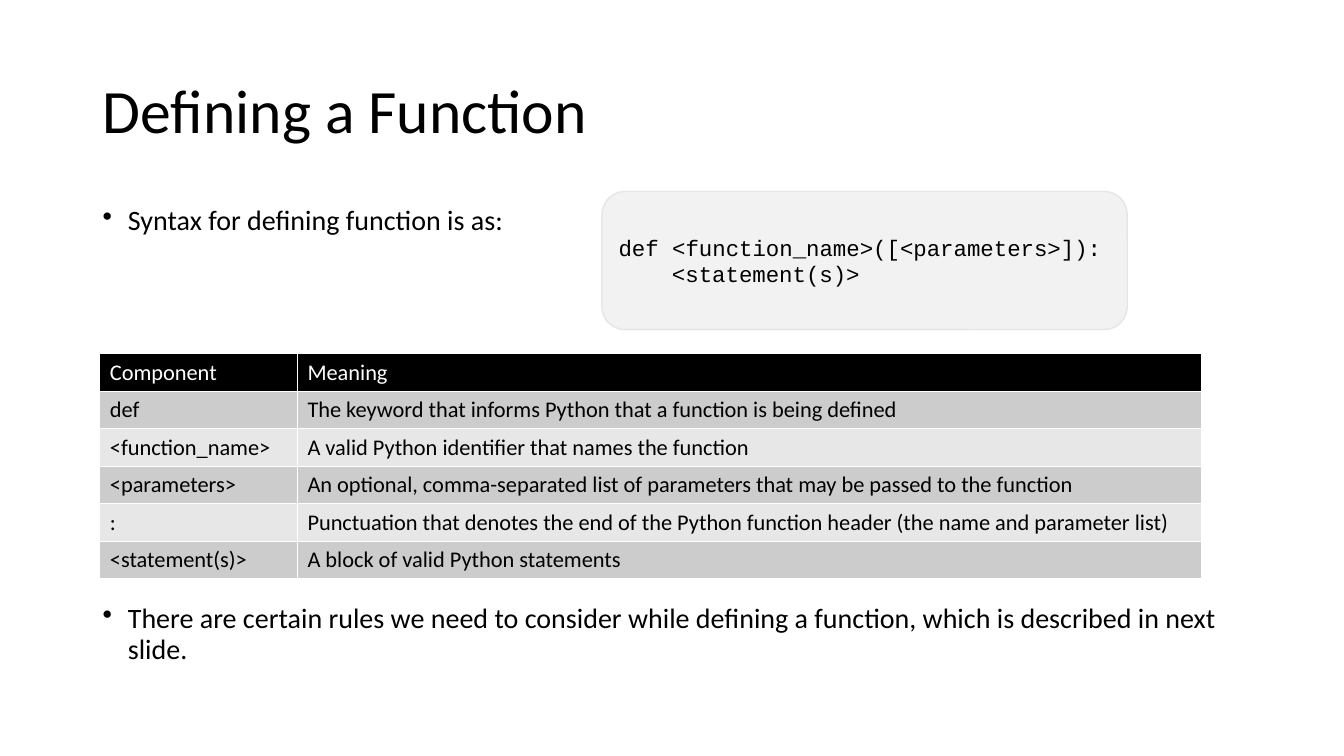
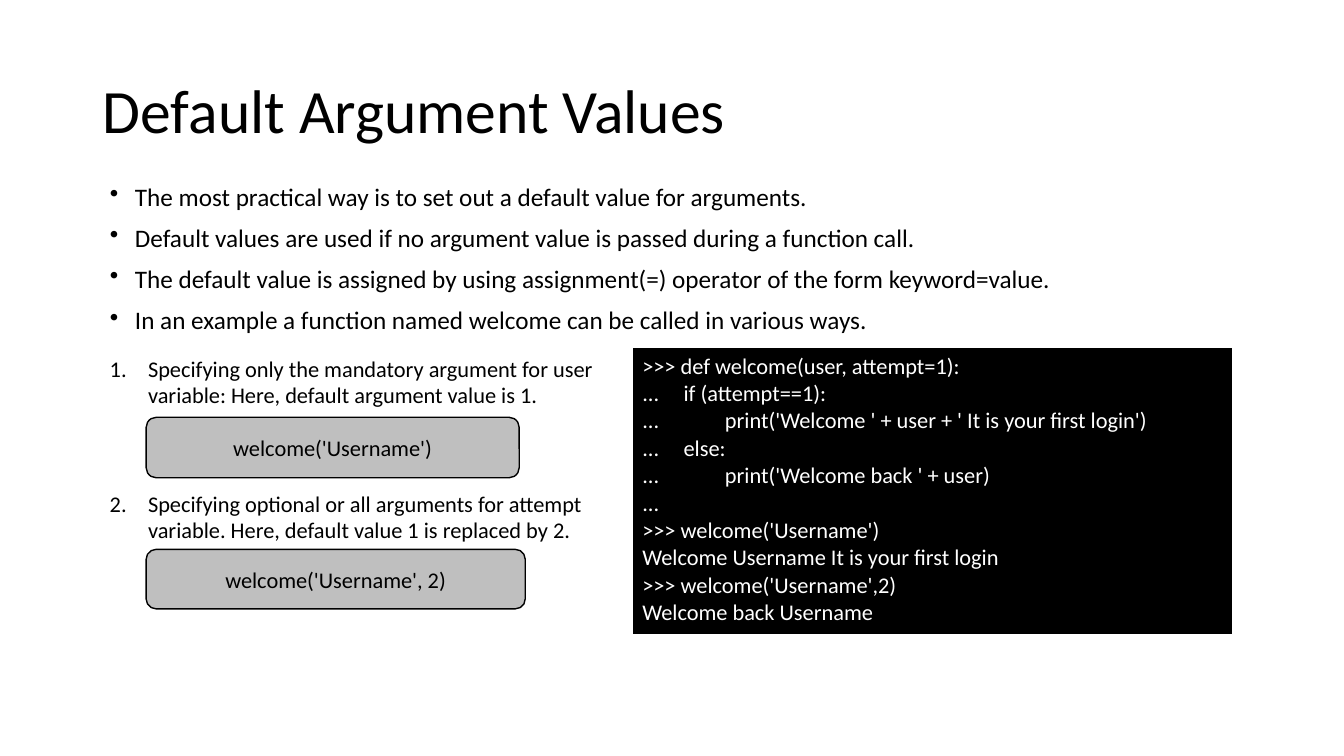
from lxml.etree import SubElement
from pptx import Presentation
from pptx.dml.color import RGBColor
from pptx.enum.shapes import MSO_SHAPE
from pptx.enum.text import MSO_ANCHOR, PP_ALIGN
from pptx.oxml.ns import qn
from pptx.util import Inches, Pt

ROUNDED = MSO_SHAPE.ROUNDED_RECTANGLE
TOP, MIDDLE, BOTTOM = MSO_ANCHOR.TOP, MSO_ANCHOR.MIDDLE, MSO_ANCHOR.BOTTOM
LEFT, CENTER = PP_ALIGN.LEFT, PP_ALIGN.CENTER

BLACK = RGBColor(0x00, 0x00, 0x00)
WHITE = RGBColor(0xFF, 0xFF, 0xFF)
DARK_BAND = RGBColor(0xCC, 0xCC, 0xCC)
LIGHT_BAND = RGBColor(0xE7, 0xE7, 0xE7)
SYNTAX_FILL = RGBColor(0xF2, 0xF2, 0xF2)
SYNTAX_LINE = RGBColor(0xE7, 0xE6, 0xE6)
CALL_FILL = RGBColor(0xBF, 0xBF, 0xBF)

BODY_FONT = "Calibri"
CODE_FONT = "Courier New"
TITLE_SIZE = 44
SMALL_SIZE = 16
LINE_SPACING = 0.9
CODE_INDENT = 0.53
CONSOLE_TAB = 0.41

COMPONENTS = [
    ("Component", "Meaning"),
    ("def", "The keyword that informs Python that a function is being defined"),
    ("<function_name>", "A valid Python identifier that names the function"),
    ("<parameters>", "An optional, comma-separated list of parameters that may be passed to the function"),
    (":", "Punctuation that denotes the end of the Python function header (the name and parameter list)"),
    ("<statement(s)>", "A block of valid Python statements"),
]

DEFAULT_VALUE_POINTS = [
    "The most practical way is to set out a default value for arguments.",
    "Default values are used if no argument value is passed during a function call.",
    "The default value is assigned by using assignment(=) operator of the form keyword=value.",
    "In an example a function named welcome can be called in various ways.",
]

CALL_WAYS = [
    "Specifying only the mandatory argument for user variable: Here, default argument value is 1.",
    "Specifying optional or all arguments for attempt variable. Here, default value 1 is replaced by 2.",
]

CONSOLE_LINES = [
    (0, ">>> def welcome(user, attempt=1):"),
    (1, "...\tif (attempt==1):"),
    (2, "...\tprint('Welcome ' + user + ' It is your first login')"),
    (1, "...\telse:"),
    (2, "...\tprint('Welcome back ' + user)"),
    (0, "..."),
    (0, ">>> welcome('Username')"),
    (0, "Welcome Username It is your first login"),
    (0, ">>> welcome('Username',2)"),
    (0, "Welcome back Username"),
]


def write_lines(frame, lines, size=SMALL_SIZE, color=BLACK, font=BODY_FONT, align=LEFT):
    """Write one paragraph per line and format every run."""
    frame.text = "\n".join(lines)
    for para in frame.paragraphs:
        para.alignment = align
        for span in para.runs:
            span.font.name = font
            span.font.size = Pt(size)
            span.font.bold = False
            span.font.color.rgb = color


def add_marker(para, indent, tag, **attributes):
    """Give a paragraph a hanging indent and a list marker."""
    properties = para._p.get_or_add_pPr()
    properties.set("marL", str(Inches(indent)))
    properties.set("indent", str(-Inches(indent)))
    SubElement(properties, qn(tag), **attributes)


def add_titled_page(deck, title):
    """Add a title-only slide in the shared title style."""
    page = deck.slides.add_slide(deck.slide_layouts[5])
    box = page.shapes.title
    box.left, box.top = Inches(0.92), Inches(0.4)
    box.width, box.height = Inches(11.5), Inches(1.45)
    write_lines(box.text_frame, [title], TITLE_SIZE)
    box.text_frame.vertical_anchor = MIDDLE
    box.text_frame.paragraphs[0].line_spacing = LINE_SPACING
    return page


def add_text(page, left, top, width, height, lines, size):
    """Add a wrapping text box and return its paragraphs."""
    box = page.shapes.add_textbox(Inches(left), Inches(top), Inches(width), Inches(height))
    box.text_frame.word_wrap = True
    write_lines(box.text_frame, lines, size)
    return box.text_frame.paragraphs


def add_bullets(page, left, top, width, height, lines, size):
    """Add a bulleted list."""
    for number, para in enumerate(add_text(page, left, top, width, height, lines, size)):
        para.line_spacing = LINE_SPACING
        para.space_before = Pt(10 if number else 0)
        add_marker(para, 0.25, "a:buChar", char="•")


def add_numbers(page, left, top, width, height, lines, gap):
    """Add a numbered list with a gap between its items."""
    for number, para in enumerate(add_text(page, left, top, width, height, lines, SMALL_SIZE)):
        para.space_before = Pt(gap if number else 0)
        add_marker(para, 0.38, "a:buAutoNum", type="arabicPeriod")


def add_code_box(page, left, top, width, height, lines, fill, line, font=BODY_FONT, align=CENTER):
    """Add a rounded box that holds code, with later lines indented."""
    box = page.shapes.add_shape(ROUNDED, Inches(left), Inches(top), Inches(width), Inches(height))
    box.shadow.inherit = False
    box.fill.solid()
    box.fill.fore_color.rgb = fill
    box.line.color.rgb = line
    box.line.width = Pt(1)
    box.text_frame.word_wrap = True
    box.text_frame.vertical_anchor = MIDDLE
    write_lines(box.text_frame, lines, font=font, align=align)
    for para in box.text_frame.paragraphs[1:]:
        para._p.get_or_add_pPr().set("marL", str(Inches(CODE_INDENT)))


def add_grid(page, left, top, height, widths, row_count):
    """Add a table with the given column widths."""
    frame = page.shapes.add_table(
        row_count, len(widths), Inches(left), Inches(top), Inches(sum(widths)), Inches(height)
    )
    for column, width in zip(frame.table.columns, widths):
        column.width = Inches(width)
    return frame.table


def format_cell(cell, lines, fill, color, anchor=TOP):
    """Write a cell and set its white borders and fill."""
    properties = cell._tc.get_or_add_tcPr()
    for side in ("a:lnL", "a:lnR", "a:lnT", "a:lnB"):
        border = SubElement(properties, qn(side), w=str(Pt(1)))
        SubElement(SubElement(border, qn("a:solidFill")), qn("a:srgbClr"), val=str(WHITE))
    cell.fill.solid()
    cell.fill.fore_color.rgb = fill
    cell.vertical_anchor = anchor
    write_lines(cell.text_frame, lines, color=color)


def add_component_table(page):
    """Add the table of the parts of a function definition."""
    table = add_grid(page, 0.99, 3.51, 2.23, [1.96, 8.97], len(COMPONENTS))
    for row, texts in enumerate(COMPONENTS):
        band = DARK_BAND if row % 2 else LIGHT_BAND
        style = (band, BLACK) if row else (BLACK, WHITE, BOTTOM)
        for column, text in enumerate(texts):
            format_cell(table.cell(row, column), [text], *style)


def add_console(page):
    """Add the console session, with code depth set by tab stops."""
    cell = add_grid(page, 6.27, 3.45, 2.85, [5.96], 1).cell(0, 0)
    format_cell(cell, [text for _, text in CONSOLE_LINES], BLACK, WHITE)
    for (depth, _), para in zip(CONSOLE_LINES, cell.text_frame.paragraphs):
        if depth:
            stops = SubElement(para._p.get_or_add_pPr(), qn("a:tabLst"))
            SubElement(stops, qn("a:tab"), pos=str(Inches(depth * CONSOLE_TAB)), algn="l")


def build_definition_page(deck):
    """Build the slide on defining a function."""
    page = add_titled_page(deck, "Defining a Function")
    add_bullets(page, 0.92, 2, 5, 0.45, ["Syntax for defining function is as:"], 20)
    add_bullets(page, 0.92, 5.95, 11.5, 0.75, [
        "There are certain rules we need to consider while defining a function, "
        "which is described in next slide."
    ], 20)
    add_code_box(
        page, 5.97, 1.9, 5.21, 1.37,
        ["def <function_name>([<parameters>]):", "<statement(s)>"],
        SYNTAX_FILL, SYNTAX_LINE, CODE_FONT, LEFT,
    )
    add_component_table(page)


def build_default_values_page(deck):
    """Build the slide on default argument values."""
    page = add_titled_page(deck, "Default Argument Values")
    add_bullets(page, 0.99, 1.78, 11.59, 1.65, DEFAULT_VALUE_POINTS, 18)
    add_console(page)
    add_numbers(page, 0.99, 3.47, 5.2, 2.52, CALL_WAYS, 58)
    add_code_box(page, 1.45, 4.14, 3.7, 0.6, ["welcome('Username')"], CALL_FILL, BLACK)
    add_code_box(page, 1.45, 5.45, 3.76, 0.59, ["welcome('Username', 2)"], CALL_FILL, BLACK)


def main():
    """Build and save the deck."""
    deck = Presentation()
    deck.slide_width, deck.slide_height = Inches(13.33), Inches(7.5)
    build_definition_page(deck)
    build_default_values_page(deck)
    deck.save("out.pptx")


if __name__ == "__main__":
    main()
